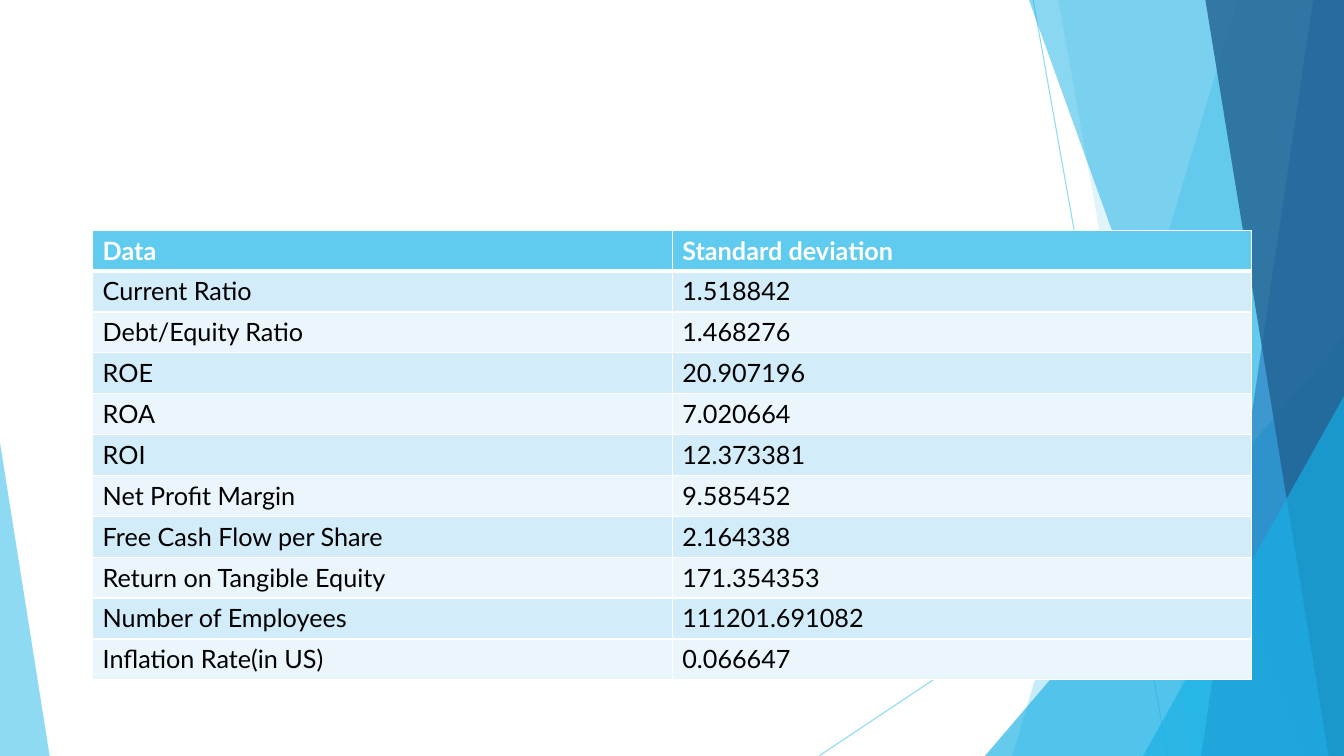
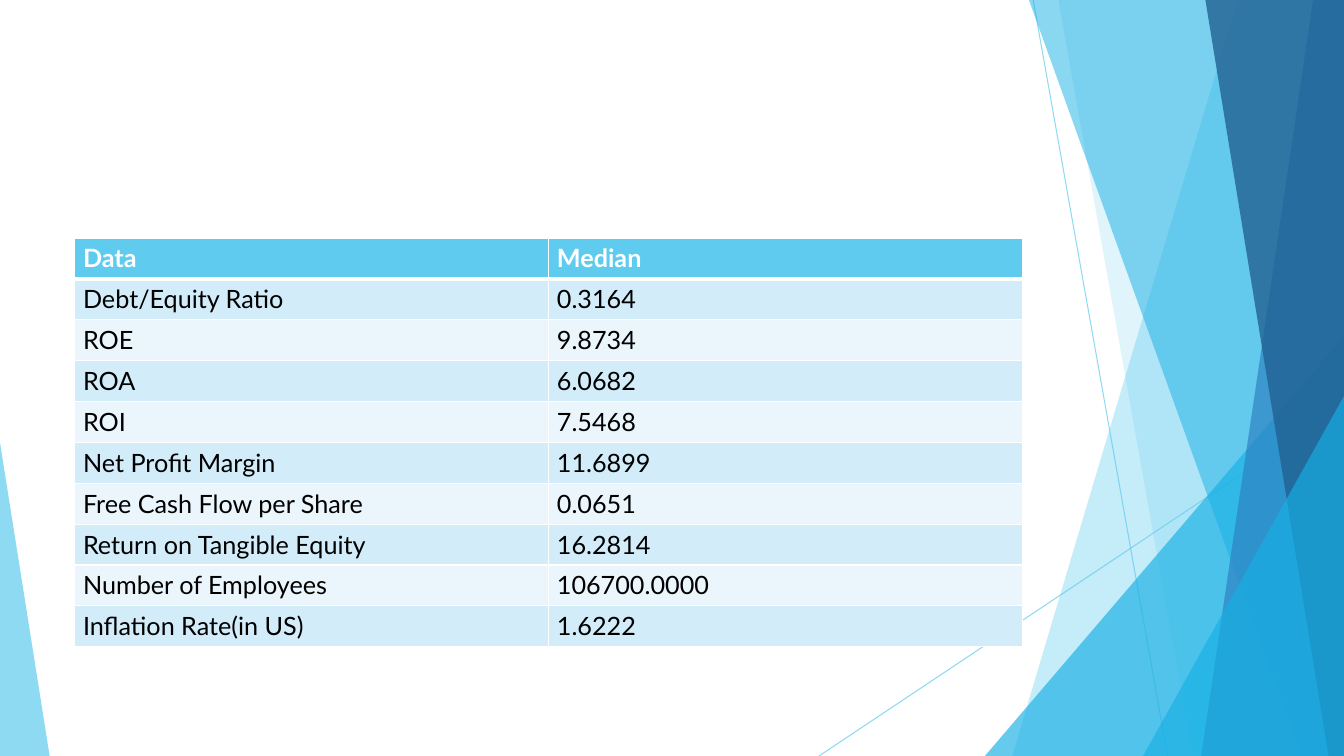
from lxml.etree import SubElement
from pptx import Presentation
from pptx.dml.color import RGBColor
from pptx.enum.shapes import MSO_CONNECTOR, MSO_SHAPE
from pptx.oxml import parse_xml
from pptx.oxml.ns import nsdecls, qn
from pptx.util import Pt

SLIDE_WIDTH, SLIDE_HEIGHT = 960, 540
FONT = "Lato"
FONT_SIZE = 18
ROW_HEIGHT = 29.2
COLORS = {
    "sky": "5FCBEF",
    "azure": "17B0E4",
    "blue": "2E83C3",
    "navy": "226292",
    "odd_row": "D2ECF9",
    "even_row": "EAF6FC",
    "white": "FFFFFF",
    "black": "000000",
}

# Start and end, each measured from the right edge and the top.
RAYS = [((222, 0), (126, 540)), ((0, 290), (375, 540))]

# Bands: left side at the top and at the bottom, measured from the right edge.
# Wedges: width and height, resting in the bottom right corner.
FACETS = [
    ("band", 76, 237, "sky", 36),
    ("band", 204, 108, "sky", 20),
    ("wedge", 256.5, 300, "azure", 66),
    ("band", 225, 30.5, "azure", 50),
    ("band", 22, 102, "blue", 70),
    ("band", 99, 11, "navy", 80),
    ("wedge", 143.5, 257, "azure", 66),
]
LEFT_WEDGE = (35.5, 224)

DEVIATIONS = [
    ("Data", "Standard deviation"),
    ("Current Ratio", "1.518842"),
    ("Debt/Equity Ratio", "1.468276"),
    ("ROE", "20.907196"),
    ("ROA", "7.020664"),
    ("ROI", "12.373381"),
    ("Net Profit Margin", "9.585452"),
    ("Free Cash Flow per Share", "2.164338"),
    ("Return on Tangible Equity", "171.354353"),
    ("Number of Employees", "111201.691082"),
    ("Inflation Rate(in US)", "0.066647"),
]
MEDIANS = [
    ("Data", "Median"),
    ("Debt/Equity Ratio", "0.3164"),
    ("ROE", "9.8734"),
    ("ROA", "6.0682"),
    ("ROI", "7.5468"),
    ("Net Profit Margin", "11.6899"),
    ("Free Cash Flow per Share", "0.0651"),
    ("Return on Tangible Equity", "16.2814"),
    ("Number of Employees", "106700.0000"),
    ("Inflation Rate(in US)", "1.6222"),
]


def rgb(color):
    return RGBColor.from_string(COLORS[color])


def set_opacity(shape, percent):
    for color in shape.element.xpath("./p:spPr//a:srgbClr"):
        SubElement(color, qn("a:alpha"), val=str(percent * 1000))


def paint(shape, color, opacity):
    shape.shadow.inherit = False
    shape.fill.solid()
    shape.fill.fore_color.rgb = rgb(color)
    shape.line.fill.background()
    set_opacity(shape, opacity)


def add_ray(slide, start, end):
    ray = slide.shapes.add_connector(
        MSO_CONNECTOR.STRAIGHT, *(Pt(value) for value in (*start, *end)))
    ray.line.color.rgb = rgb("sky")
    ray.line.width = Pt(0.75)
    set_opacity(ray, 70)
    SubElement(ray.element.spPr, qn("a:effectLst"))


def add_band(slide, corners, color, opacity):
    first, *others = [(Pt(x), Pt(y)) for x, y in corners]
    outline = slide.shapes.build_freeform(*first)
    outline.add_line_segments(others)
    paint(outline.convert_to_shape(), color, opacity)


def add_wedge(slide, box, apex, color, opacity):
    """Add a right triangle whose apex is at 0 (left) or 1 (right)."""
    wedge = slide.shapes.add_shape(
        MSO_SHAPE.ISOSCELES_TRIANGLE, *(Pt(value) for value in box))
    wedge.adjustments[0] = apex
    paint(wedge, color, opacity)


def add_backdrop(slide, left, top, width, height):
    right, bottom = left + width, top + height
    for ends in RAYS:
        add_ray(slide, *((right - x, top + y) for x, y in ends))
    for kind, first, second, color, opacity in FACETS:
        if kind == "band":
            corners = [(right - first, top), (right, top),
                       (right, bottom), (right - second, bottom)]
            add_band(slide, corners, color, opacity)
        else:
            box = (right - first, bottom - second, first, second)
            add_wedge(slide, box, 1, color, opacity)
    wedge_width, wedge_height = LEFT_WEDGE
    add_wedge(slide, (left, bottom - wedge_height, wedge_width, wedge_height),
              0, "sky", 70)


def set_borders(cell, top, bottom):
    """Draw white borders, with the top and bottom widths in points."""
    widths = {"lnL": 1, "lnR": 1, "lnT": top, "lnB": bottom}
    for index, (side, width) in enumerate(widths.items()):
        border = parse_xml(
            f'<a:{side} {nsdecls("a")} w="{Pt(width)}"><a:solidFill>'
            f'<a:srgbClr val="{COLORS["white"]}"/></a:solidFill></a:{side}>')
        cell._tc.get_or_add_tcPr().insert(index, border)


def style_cell(cell, row_index, side_margin):
    is_header = row_index == 0
    stripe = "odd_row" if row_index % 2 else "even_row"
    cell.margin_left = cell.margin_right = Pt(side_margin)
    cell.fill.solid()
    cell.fill.fore_color.rgb = rgb("sky" if is_header else stripe)
    set_borders(cell, top=3 if row_index == 1 else 1,
                bottom=3 if is_header else 1)
    font = cell.text_frame.paragraphs[0].runs[0].font
    font.name = FONT
    font.size = Pt(FONT_SIZE)
    font.bold = is_header
    font.color.rgb = rgb("white" if is_header else "black")


def add_statistics(slide, left, top, width, records, side_margin):
    columns = len(records[0])
    table = slide.shapes.add_table(
        len(records), columns, Pt(left), Pt(top),
        Pt(width), Pt(ROW_HEIGHT * len(records))).table
    for column in table.columns:
        column.width = Pt(width / columns)
    for row_index, record in enumerate(records):
        table.rows[row_index].height = Pt(ROW_HEIGHT)
        for column_index, value in enumerate(record):
            cell = table.cell(row_index, column_index)
            cell.text_frame.text = value
            style_cell(cell, row_index, side_margin)


def add_statistics_slide(deck, left, top, width, records, side_margin):
    slide = deck.slides.add_slide(deck.slide_layouts[6])
    slide.background.fill.solid()
    slide.background.fill.fore_color.rgb = rgb("white")
    add_backdrop(slide, 0, 0, SLIDE_WIDTH, SLIDE_HEIGHT)
    add_statistics(slide, left, top, width, records, side_margin)


def main():
    deck = Presentation()
    deck.slide_width, deck.slide_height = Pt(SLIDE_WIDTH), Pt(SLIDE_HEIGHT)
    add_statistics_slide(deck, 66.2, 164.4, 828, DEVIATIONS, side_margin=7.2)
    add_statistics_slide(deck, 53.4, 170, 677, MEDIANS, side_margin=5.9)
    deck.save("out.pptx")


if __name__ == "__main__":
    main()
